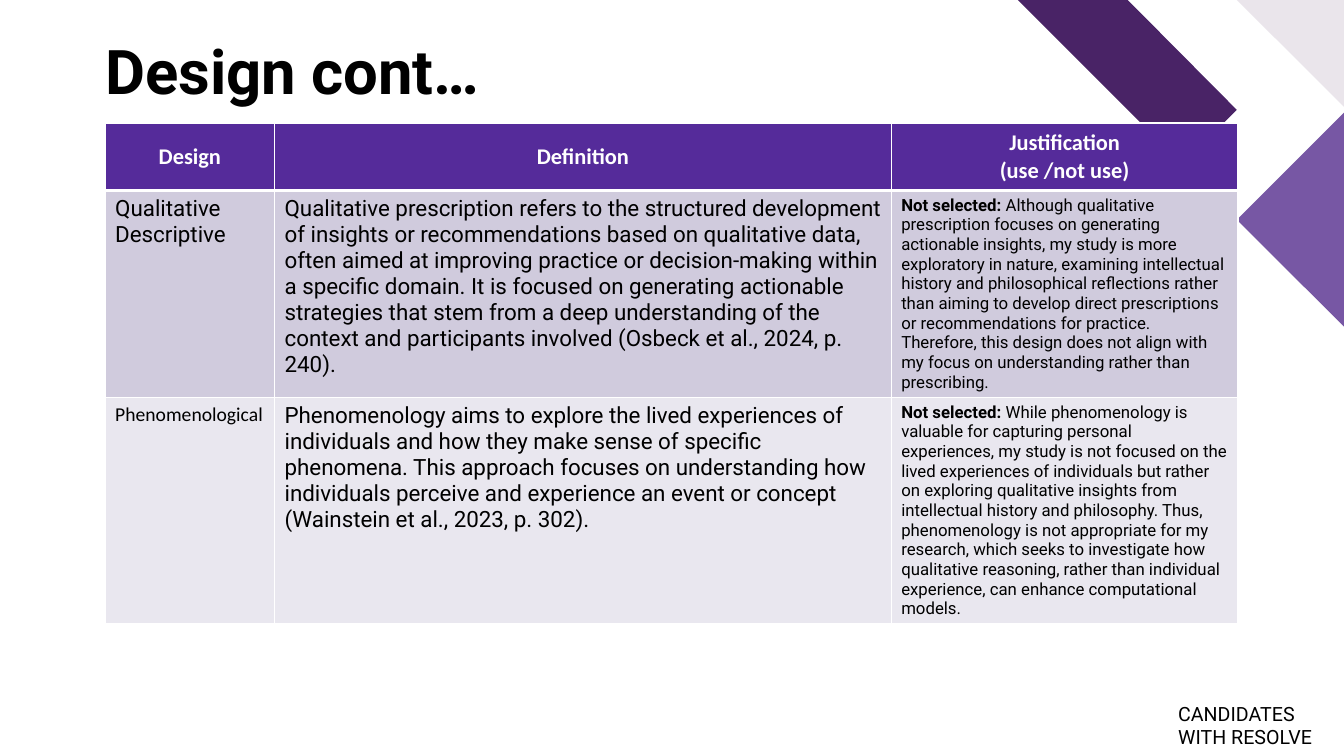
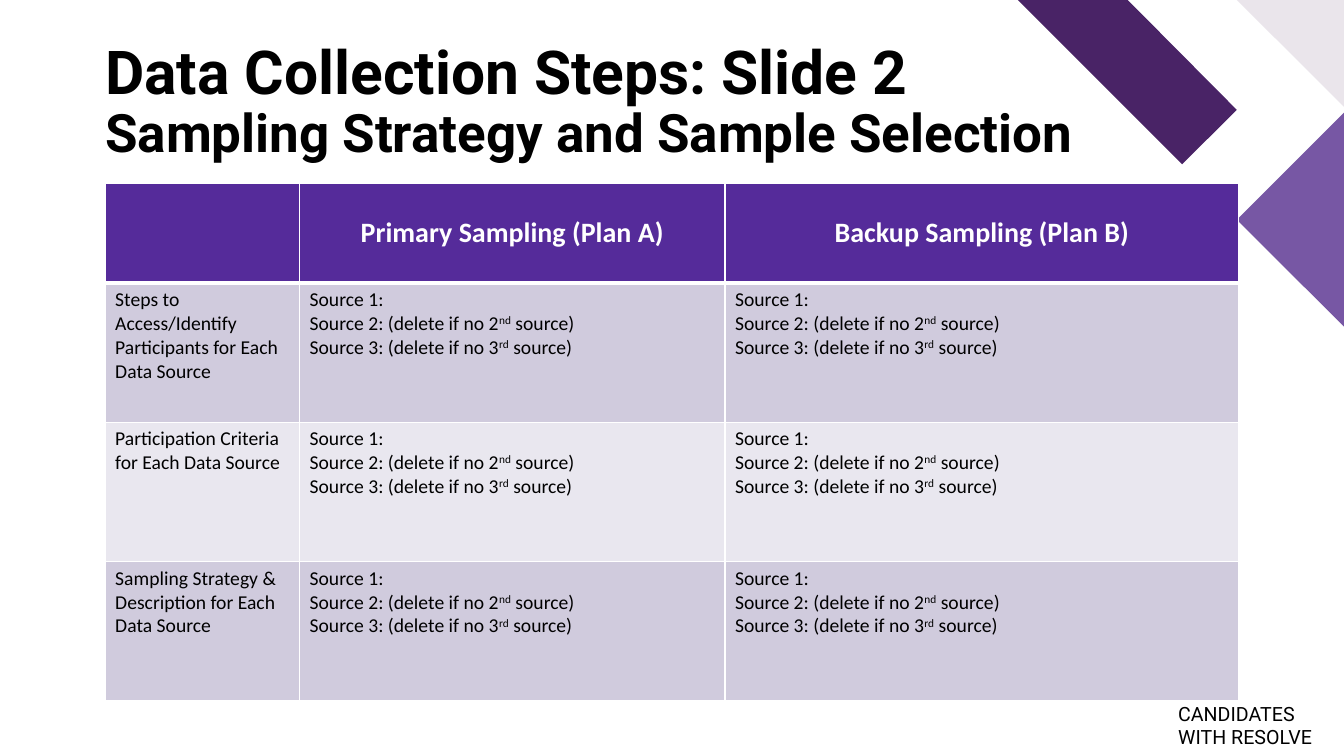
from dataclasses import dataclass

from lxml.etree import SubElement
from pptx import Presentation
from pptx.dml.color import RGBColor
from pptx.enum.text import MSO_ANCHOR, MSO_AUTO_SIZE, PP_ALIGN
from pptx.oxml.ns import qn
from pptx.util import Cm, Pt

WHITE = RGBColor(0xFF, 0xFF, 0xFF)
BLACK = RGBColor(0x00, 0x00, 0x00)
PLUM = RGBColor(0x49, 0x23, 0x66)
MIST = RGBColor(0xEA, 0xE5, 0xEB)
VIOLET = RGBColor(0x77, 0x57, 0xA4)
HEADER_PURPLE = RGBColor(0x55, 0x2B, 0x9A)
ROW_FILLS = (RGBColor(0xD0, 0xCB, 0xDD), RGBColor(0xE9, 0xE7, 0xEF))

HEADING_FONT = "Roboto"
TABLE_FONT = "Calibri"
LEFT = 2.65
TITLE_ONLY = 5

DECORATIONS = (
    (PLUM, ((25.65, 0), (28.42, 0), (31.17, 2.77), (29.79, 4.14))),
    (MIST, ((31.17, 0), (33.87, 0), (33.87, 2.69))),
    (VIOLET, ((33.87, 8.23), (31.17, 5.54), (33.87, 2.84))),
)


@dataclass
class Span:
    text: str
    bold: bool = False
    raised: bool = False


@dataclass
class Cell:
    """Table cell text: a list of paragraphs, each a list of spans."""
    paragraphs: list
    size: float = 14
    font: str = TABLE_FONT


def plain(text, size=14, font=TABLE_FONT):
    return Cell([[Span(line)] for line in text.split("\n")], size, font)


def verdict(reason):
    return Cell([[Span("Not selected: ", bold=True), Span(reason)]], 12, HEADING_FONT)


def source_list():
    lines = [[Span("Source 1:")]]
    for number, ending in ((2, "nd"), (3, "rd")):
        lines.append([
            Span(f"Source {number}: (delete if no {number}"),
            Span(ending, raised=True),
            Span(" source)"),
        ])
    return Cell(lines)


class DesignDeck:
    """Holds the shared style and the slide being filled."""

    def __init__(self):
        self.deck = Presentation()
        self.deck.slide_width = Cm(33.87)
        self.deck.slide_height = Cm(19.05)
        self.layout = self.deck.slide_layouts[TITLE_ONLY]
        self.page = None

    def add_page(self):
        first = self.page is None
        self.page = self.deck.slides.add_slide(self.layout)
        if first:
            self.decorate_layout()

    def decorate_layout(self):
        """Replace the layout's footer placeholders with the corner shapes."""
        for holder in list(self.layout.placeholders)[1:]:
            holder.element.getparent().remove(holder.element)
        for color, corners in DECORATIONS:
            points = [(Cm(x), Cm(y)) for x, y in corners]
            outline = self.page.shapes.build_freeform(*points[0])
            outline.add_line_segments(points[1:], close=True)
            shape = outline.convert_to_shape()
            shape.shadow.inherit = False
            shape.fill.solid()
            shape.fill.fore_color.rgb = color
            shape.line.fill.background()
            self.layout.shapes.element.append(shape.element)

    def style(self, span, size, font, color=BLACK, bold=False):
        span.font.size = Pt(size)
        span.font.name = font
        span.font.color.rgb = color
        span.font.bold = bold

    def clear_margins(self, frame):
        frame.margin_left = frame.margin_right = 0
        frame.margin_top = frame.margin_bottom = 0
        frame.word_wrap = True
        frame.auto_size = MSO_AUTO_SIZE.NONE

    def title(self, text, sizes, top, width):
        box = self.page.shapes.title
        box.left, box.top = Cm(LEFT), Cm(top)
        box.width, box.height = Cm(width), Cm(1.7)
        frame = box.text_frame
        frame.text = text
        self.clear_margins(frame)
        frame.vertical_anchor = MSO_ANCHOR.BOTTOM
        para = frame.paragraphs[0]
        para.alignment = PP_ALIGN.LEFT
        para.line_spacing = 0.9
        for span, size in zip(para.runs, sizes):
            self.style(span, size, HEADING_FONT, bold=True)

    def footer(self):
        box = self.page.shapes.add_textbox(Cm(29.69), Cm(17.68), Cm(3.66), Cm(0.94))
        box.text_frame.text = "CANDIDATES WITH RESOLVE"
        self.clear_margins(box.text_frame)
        self.style(box.text_frame.paragraphs[0].runs[0], 14, HEADING_FONT)

    def borders(self, cell, top, bottom):
        properties = cell._tc.get_or_add_tcPr()
        for side, width in (("L", 1), ("R", 1), ("T", top), ("B", bottom)):
            line = SubElement(properties, qn(f"a:ln{side}"), w=str(Pt(width)))
            fill = SubElement(line, qn("a:solidFill"))
            SubElement(fill, qn("a:srgbClr"), val=str(WHITE))

    def fill_cell(self, cell, content, header):
        frame = cell.text_frame
        if header:
            cell.vertical_anchor = MSO_ANCHOR.MIDDLE
        for index, spans in enumerate(content.paragraphs):
            para = frame.add_paragraph() if index else frame.paragraphs[0]
            if header:
                para.alignment = PP_ALIGN.CENTER
            for part in spans:
                span = para.add_run()
                span.text = part.text
                self.style(span, content.size, content.font,
                           WHITE if header else BLACK, header or part.bold)
                if part.raised:
                    span._r.get_or_add_rPr().set("baseline", "30000")

    def table(self, top, widths, heights, rows):
        table = self.page.shapes.add_table(
            len(rows), len(widths), Cm(LEFT), Cm(top),
            Cm(sum(widths)), Cm(sum(heights))).table
        for column, width in zip(table.columns, widths):
            column.width = Cm(width)
        for index, (row, height) in enumerate(zip(table.rows, heights)):
            row.height = Cm(height)
            header = index == 0
            for cell, content in zip(row.cells, rows[index]):
                self.borders(cell, 3 if index == 1 else 1, 3 if header else 1)
                cell.fill.solid()
                cell.fill.fore_color.rgb = (
                    HEADER_PURPLE if header else ROW_FILLS[(index - 1) % 2])
                self.fill_cell(cell, content, header)


def add_design_page(deck):
    deck.add_page()
    deck.title("Design cont…", [44], top=1.02, width=13.72)
    headings = ("Design", "Definition", "Justification\n(use /not use)")
    deck.table(3.1, (4.27, 15.54, 8.74), (1.7, 5.2, 5.68), [
        [plain(heading, 16) for heading in headings],
        [
            plain("Qualitative Descriptive", 16, HEADING_FONT),
            plain("Qualitative prescription refers to the structured development of "
                  "insights or recommendations based on qualitative data, often aimed at "
                  "improving practice or decision-making within a specific domain. It is "
                  "focused on generating actionable strategies that stem from a deep "
                  "understanding of the context and participants involved (Osbeck et al., "
                  "2024, p. 240).", 16, HEADING_FONT),
            verdict("Although qualitative prescription focuses on generating actionable "
                    "insights, my study is more exploratory in nature, examining "
                    "intellectual history and philosophical reflections rather than aiming "
                    "to develop direct prescriptions or recommendations for practice. "
                    "Therefore, this design does not align with my focus on understanding "
                    "rather than prescribing."),
        ],
        [
            plain("Phenomenological"),
            plain("Phenomenology aims to explore the lived experiences of individuals and "
                  "how they make sense of specific phenomena. This approach focuses on "
                  "understanding how individuals perceive and experience an event or "
                  "concept (Wainstein et al., 2023, p. 302).", 16, HEADING_FONT),
            verdict("While phenomenology is valuable for capturing personal experiences, my "
                    "study is not focused on the lived experiences of individuals but "
                    "rather on exploring qualitative insights from intellectual history and "
                    "philosophy. Thus, phenomenology is not appropriate for my research, "
                    "which seeks to investigate how qualitative reasoning, rather than "
                    "individual experience, can enhance computational models."),
        ],
    ])
    deck.footer()


def add_sampling_page(deck):
    deck.add_page()
    deck.title("Data Collection Steps: Slide 2\vSampling Strategy and Sample Selection",
               [43.2, 37.8], top=2.44, width=27.03)
    headings = ("Primary Sampling (Plan A)", "Backup Sampling (Plan B)")
    topics = (
        "Steps to Access/Identify Participants for Each Data Source",
        "Participation Criteria for Each Data Source",
        "Sampling Strategy & Description for Each Data Source",
    )
    rows = [[Cell([])] + [plain(heading, 20) for heading in headings]]
    rows += [[plain(topic), source_list(), source_list()] for topic in topics]
    deck.table(4.62, (4.9, 10.72, 12.95), (2.51, 3.51, 3.51, 3.51), rows)
    deck.footer()


def main():
    design = DesignDeck()
    add_design_page(design)
    add_sampling_page(design)
    design.deck.save("out.pptx")


if __name__ == "__main__":
    main()
